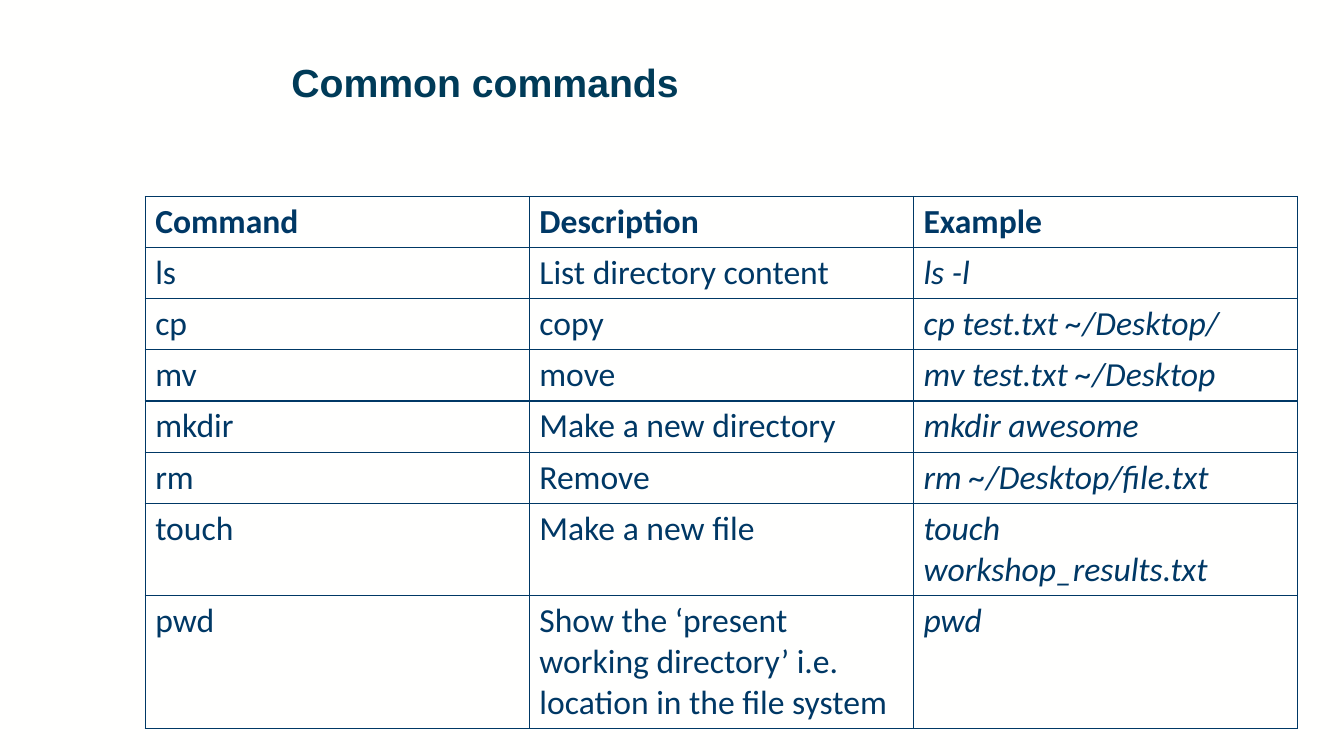
from lxml import etree
from pptx import Presentation
from pptx.dml.color import RGBColor
from pptx.enum.text import MSO_ANCHOR, PP_ALIGN
from pptx.oxml.ns import qn
from pptx.util import Inches, Pt

TITLE = "Common commands"
HEADER = ("Command", "Description", "Example")
COMMANDS = [
    ("ls", "List directory content", "ls -l"),
    ("cp", "copy", "cp test.txt ~/Desktop/"),
    ("mv", "move", "mv test.txt ~/Desktop"),
    ("mkdir", "Make a new directory", "mkdir awesome"),
    ("rm", "Remove", "rm ~/Desktop/file.txt"),
    ("touch", "Make a new file", "touch workshop_results.txt"),
    ("pwd", "Show the ‘present working directory’ i.e. location in the file system", "pwd"),
]
BACKGROUND, TITLE_COLOR, NAVY = "FFFFFE", "003B58", "003865"
COL_W, ROW_H, TOUCH_ROW_H = 3.81, 0.41, 0.49


def rgb(value):
    return RGBColor.from_string(value)


def style(p, font, size, color, bold=False, italic=False):
    p.alignment = PP_ALIGN.LEFT
    f = p.font
    f.name, f.size, f.bold, f.italic = font, Pt(size), bold, italic
    f.color.rgb = rgb(color)


def add_borders(cell, color, width):
    """Line all four sides; borders must precede the cell's fill."""
    props = cell._tc.get_or_add_tcPr()
    for i, side in enumerate(("a:lnL", "a:lnR", "a:lnT", "a:lnB")):
        line = etree.Element(qn(side), w=str(Pt(width)))
        fill = etree.SubElement(line, qn("a:solidFill"))
        etree.SubElement(fill, qn("a:srgbClr"), val=color)
        props.insert(i, line)


prs = Presentation()
prs.slide_width, prs.slide_height = Inches(13.33), Inches(7.5)
s = prs.slides.add_slide(prs.slide_layouts[5])
s.background.fill.solid()
s.background.fill.fore_color.rgb = rgb(BACKGROUND)

# Title
title = s.shapes.title
title.left, title.top = Inches(2.79), Inches(0.58)
title.width, title.height = Inches(10.07), Inches(0.97)
tf = title.text_frame
tf.text = TITLE
tf.vertical_anchor = MSO_ANCHOR.TOP
tf.paragraphs[0].line_spacing = 0.9
style(tf.paragraphs[0], "Arial", 28, TITLE_COLOR, bold=True)

# Command table
rows = [HEADER] + COMMANDS
table = s.shapes.add_table(
    len(rows), len(HEADER), Inches(1.44), Inches(1.95),
    Inches(COL_W * len(HEADER)), Inches(ROW_H * len(rows))).table
table.horz_banding = False
table.first_row = False
for col in table.columns:
    col.width = Inches(COL_W)
for r, texts in enumerate(rows):
    table.rows[r].height = Inches(TOUCH_ROW_H if texts[0] == "touch" else ROW_H)
    for c, text in enumerate(texts):
        cell = table.cell(r, c)
        cell.text = text
        cell.fill.background()
        add_borders(cell, NAVY, 1)
        is_header = r == 0
        is_example = HEADER[c] == "Example" and not is_header
        style(cell.text_frame.paragraphs[0], "Calibri", 24, NAVY, is_header, is_example)

prs.save("out.pptx")
